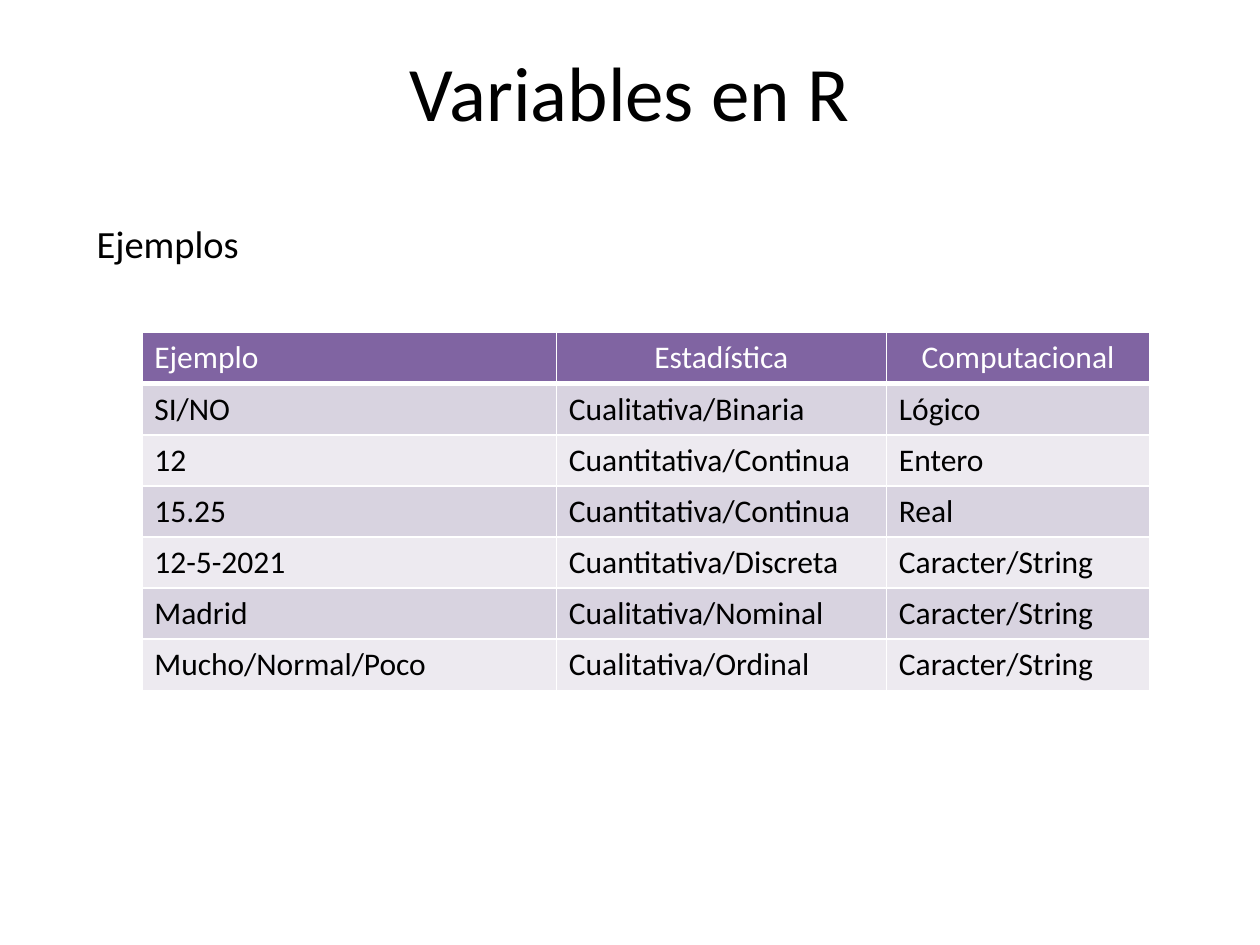
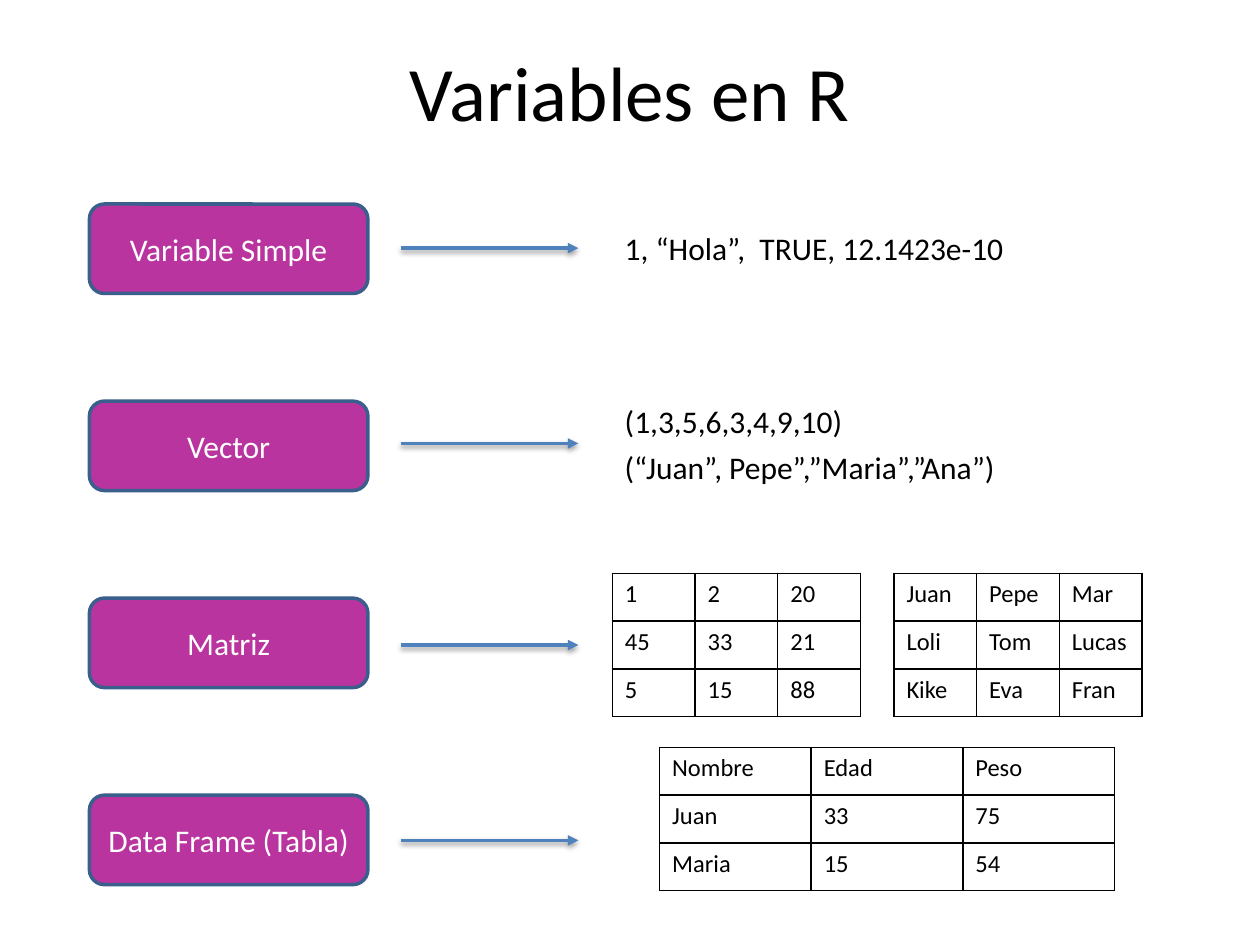
from lxml import etree
from pptx import Presentation
from pptx.dml.color import RGBColor
from pptx.enum.shapes import MSO_CONNECTOR, MSO_SHAPE
from pptx.enum.text import MSO_ANCHOR, MSO_AUTO_SIZE, PP_ALIGN
from pptx.oxml.ns import qn
from pptx.util import Pt

BLACK = RGBColor(0x00, 0x00, 0x00)
WHITE = RGBColor(0xFF, 0xFF, 0xFF)
PURPLE = RGBColor(0x80, 0x64, 0xA2)
LILAC = RGBColor(0xD8, 0xD3, 0xE0)
PALE = RGBColor(0xED, 0xEA, 0xF0)
PINK = RGBColor(0xB9, 0x34, 0x9F)
NAVY = RGBColor(0x3A, 0x5F, 0x8C)
BLUE = RGBColor(0x4F, 0x81, 0xBD)

LEFT, CENTER = PP_ALIGN.LEFT, PP_ALIGN.CENTER
TOP, MIDDLE = MSO_ANCHOR.TOP, MSO_ANCHOR.MIDDLE
NO_FIT = MSO_AUTO_SIZE.NONE
ROUND = MSO_SHAPE.ROUNDED_RECTANGLE
STRAIGHT = MSO_CONNECTOR.STRAIGHT

FONT = "Calibri"
TITLE = "Variables en R"
TITLE_ONLY = 5

EXAMPLES = [
    ["Ejemplo", "Estadística", "Computacional"],
    ["SI/NO", "Cualitativa/Binaria", "Lógico"],
    ["12", "Cuantitativa/Continua", "Entero"],
    ["15.25", "Cuantitativa/Continua", "Real"],
    ["12-5-2021", "Cuantitativa/Discreta", "Caracter/String"],
    ["Madrid", "Cualitativa/Nominal", "Caracter/String"],
    ["Mucho/Normal/Poco", "Cualitativa/Ordinal", "Caracter/String"],
]
NUMBERS = [["1", "2", "20"], ["45", "33", "21"], ["5", "15", "88"]]
NAMES = [["Juan", "Pepe", "Mar"], ["Loli", "Tom", "Lucas"],
         ["Kike", "Eva", "Fran"]]
FRAME = [["Nombre", "Edad", "Peso"], ["Juan", "33", "75"],
         ["Maria", "15", "54"]]

# Label of each kind of variable and the height of its arrow
KINDS = [("Variable Simple", 141.8), ("Vector", 253.4),
         ("Matriz", 368.6), ("Data Frame (Tabla)", 480.2)]
KIND_TOP, KIND_STEP = 116.6, 112.6
VALUE_X = 349.9


def pts(*nums):
    return [Pt(n) for n in nums]


def style(para, text, size, color=BLACK, align=LEFT):
    para.text = text
    para.alignment = align
    font = para.font
    font.name, font.size, font.bold = FONT, Pt(size), False
    font.color.rgb = color


def add_slide(deck):
    slide = deck.slides.add_slide(deck.slide_layouts[TITLE_ONLY])
    title = slide.shapes.title
    title.left, title.top, title.width, title.height = pts(36, 21.6, 648, 90)
    frame = title.text_frame
    frame.auto_size, frame.vertical_anchor = NO_FIT, TOP
    style(frame.paragraphs[0], TITLE, 44, align=CENTER)
    return slide


def add_text(slide, box, text, size=18, wrap=False):
    frame = slide.shapes.add_textbox(*pts(*box)).text_frame
    frame.word_wrap = wrap
    style(frame.paragraphs[0], text, size)


def edge(cell, color, last=1):
    """Draw the four borders of a cell; last is the width of the bottom one."""
    props = cell._tc.get_or_add_tcPr()
    for side, width in zip("LRTB", (1, 1, 1, last)):
        line = etree.SubElement(props, qn(f"a:ln{side}"), w=str(Pt(width)))
        fill = etree.SubElement(line, qn("a:solidFill"))
        etree.SubElement(fill, qn("a:srgbClr"), val=str(color))


def add_grid(slide, box, rows, cols):
    """Add a table without banding and yield row, column and cell."""
    shape = slide.shapes.add_table(len(rows), len(cols), *pts(*box))
    table = shape.table
    table.first_row = table.horz_banding = False
    for col, width in zip(table.columns, cols):
        col.width = Pt(width)
    for row in table.rows:
        row.height = Pt(box[3] / len(rows))
    for r in range(len(rows)):
        for c in range(len(cols)):
            yield r, c, table.cell(r, c)


def add_banded(slide, box, rows, cols):
    for r, c, cell in add_grid(slide, box, rows, cols):
        head = r == 0
        edge(cell, WHITE, 3 if head else 1)
        cell.fill.solid()
        cell.fill.fore_color.rgb = PURPLE if head else (PALE, LILAC)[r % 2]
        style(cell.text_frame.paragraphs[0], rows[r][c], 18,
              WHITE if head else BLACK, CENTER if head and c else LEFT)


def add_plain(slide, box, rows):
    count = len(rows[0])
    for r, c, cell in add_grid(slide, box, rows, [box[2] / count] * count):
        edge(cell, BLACK)
        cell.fill.background()
        style(cell.text_frame.paragraphs[0], rows[r][c], 14)


def add_label(slide, box, text):
    shape = slide.shapes.add_shape(ROUND, *pts(*box))
    shape.shadow.inherit = False
    shape.fill.solid()
    shape.fill.fore_color.rgb = PINK
    shape.line.color.rgb, shape.line.width = NAVY, Pt(2)
    shape.text_frame.vertical_anchor = MIDDLE
    shape.text_frame.word_wrap = True
    style(shape.text_frame.paragraphs[0], text, 18, WHITE, CENTER)


def add_arrow(slide, left, right, y):
    """Draw a level arrow with a soft shadow below it."""
    arrow = slide.shapes.add_connector(STRAIGHT, *pts(left, y, right, y))
    arrow.line.color.rgb, arrow.line.width = BLUE, Pt(2)
    props = arrow.element.spPr
    etree.SubElement(props.find(qn("a:ln")), qn("a:tailEnd"), type="triangle")
    effects = etree.SubElement(props, qn("a:effectLst"))
    shade = etree.SubElement(effects, qn("a:outerShdw"), blurRad=str(Pt(3.1)),
                             dist=str(Pt(1.6)), dir="5400000",
                             rotWithShape="0")
    color = etree.SubElement(shade, qn("a:srgbClr"), val=str(BLACK))
    etree.SubElement(color, qn("a:alpha"), val="38000")


def build_examples(deck):
    slide = add_slide(deck)
    add_text(slide, (48.2, 122.4, 96.5, 33.8), "Ejemplos", 22)
    add_banded(slide, (81, 190.1, 576, 204.4), EXAMPLES, (236.9, 188.6, 150.5))


def build_kinds(deck):
    slide = add_slide(deck)
    for i, (text, y) in enumerate(KINDS):
        add_label(slide, (51.1, KIND_TOP + i * KIND_STEP, 159.1, 51.1), text)
        add_arrow(slide, 229, 330.5, y)

    add_text(slide, (VALUE_X, 127.4, 314.6, 28.8),
             "1, “Hola”,  TRUE, 12.1423e-10", wrap=True)
    add_text(slide, (VALUE_X, 226.1, 140.4, 28.8), "(1,3,5,6,3,4,9,10)")
    add_text(slide, (VALUE_X, 252.7, 228.2, 28.8),
             "(“Juan”, Pepe”,”Maria”,”Ana”)")
    for i, rows in enumerate((NUMBERS, NAMES)):
        add_plain(slide, (VALUE_X + i * 160.9, 327.6, 141.8, 81.9), rows)
    add_plain(slide, (376.9, 427, 259.9, 81.9), FRAME)


def main():
    deck = Presentation()
    deck.slide_width, deck.slide_height = pts(720, 540)
    build_examples(deck)
    build_kinds(deck)
    deck.save("out.pptx")


if __name__ == "__main__":
    main()
